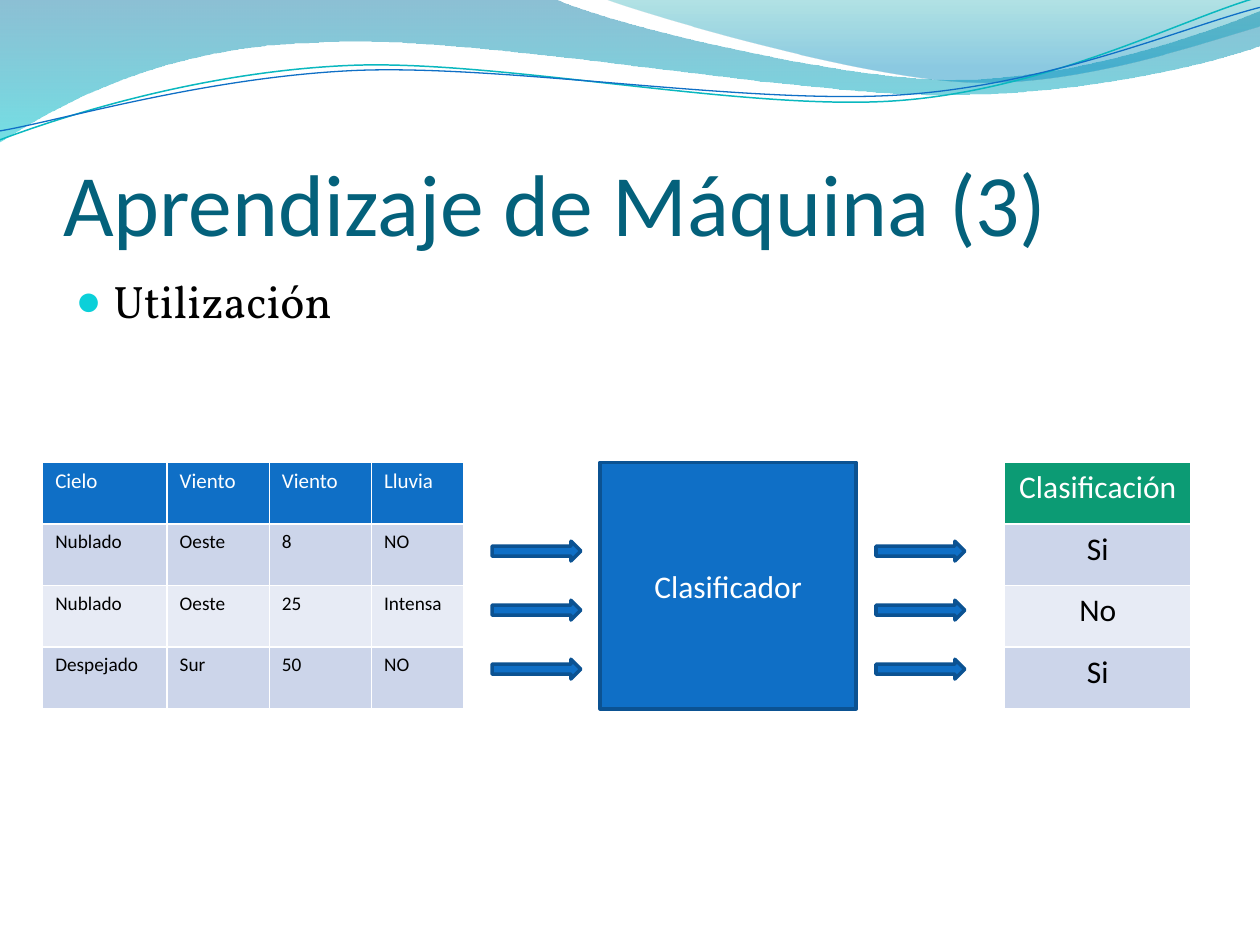
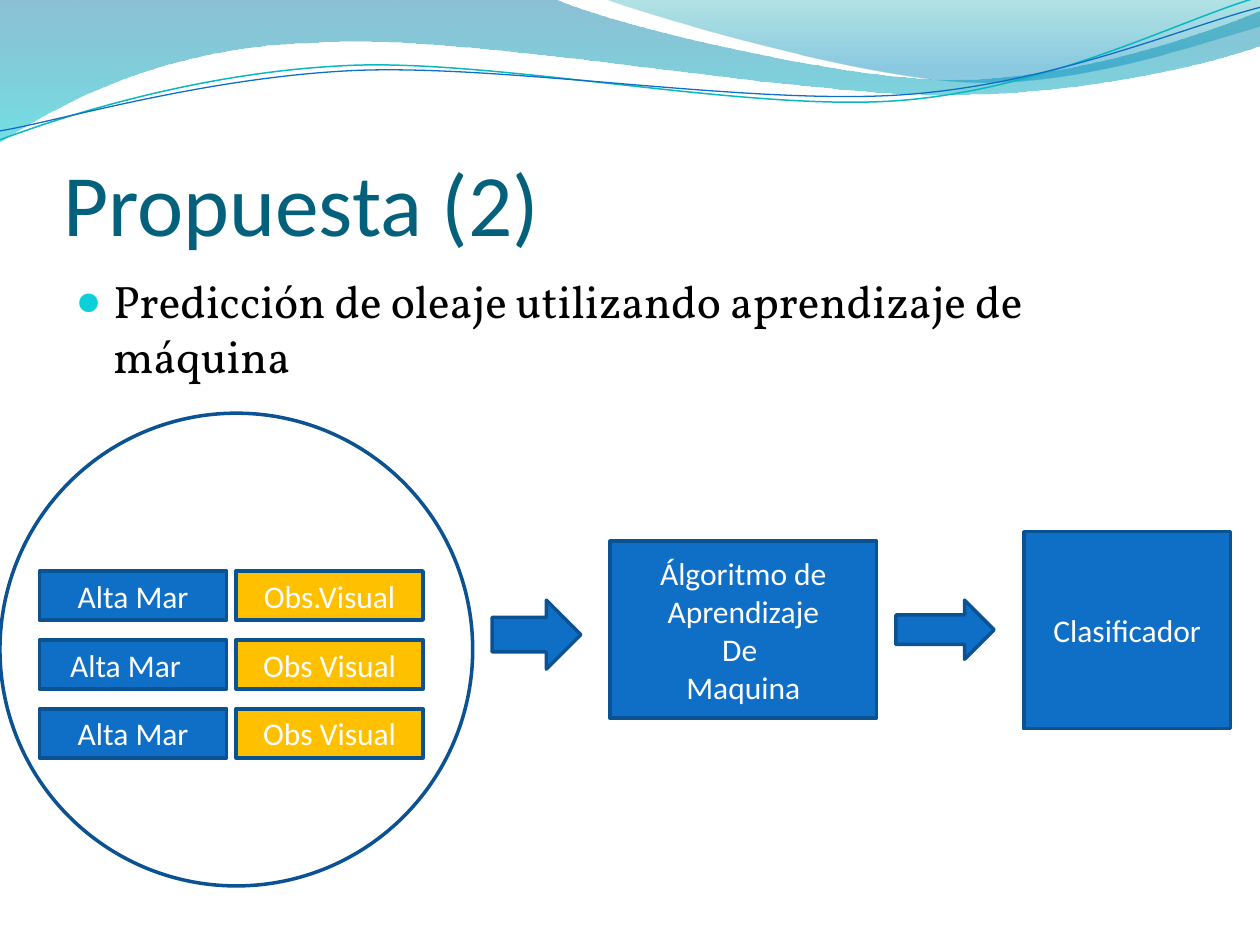
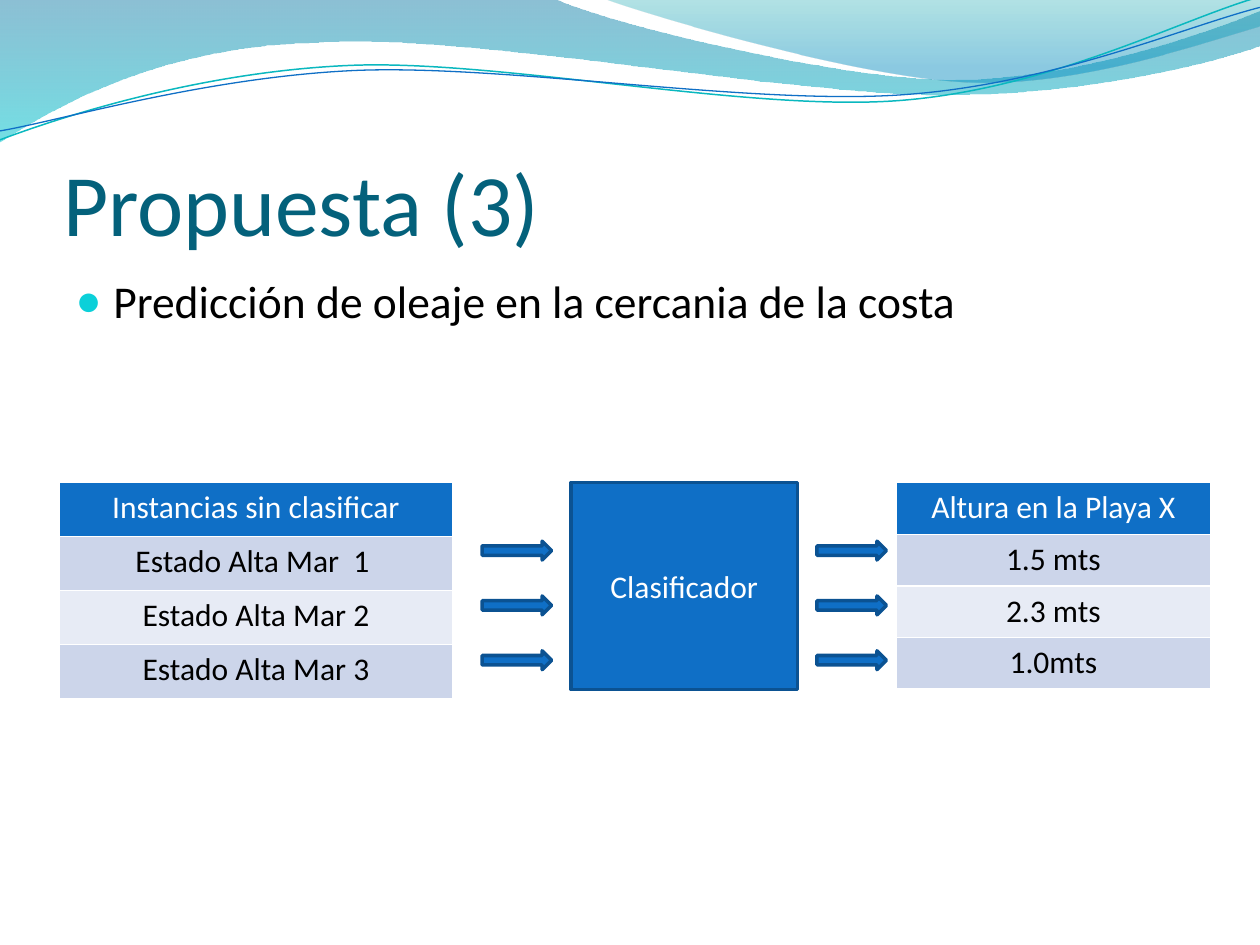
import dataclasses

import pptx
import pptx.dml.color
import pptx.enum.shapes
import pptx.enum.text
import pptx.oxml
import pptx.oxml.ns
import pptx.util

Cm = pptx.util.Cm
Pt = pptx.util.Pt
Align = pptx.enum.text.PP_ALIGN
Anchor = pptx.enum.text.MSO_ANCHOR
Preset = pptx.enum.shapes.MSO_SHAPE

SANS, SERIF = "Calibri", "Vollkorn"
BLUE, EDGE, GREEN, AMBER = "0F6FC6", "0B5292", "0C9B74", "FFC000"
WHITE, BLACK, TITLE, BULLET = "FFFFFF", "000000", "04617B", "0BD0D9"
BANDS = ("CCD5EA", "E7EBF5")

BACK_WAVE = [
    (0, 0), [(11.18, -0.02)],
    [(12.09, 0.43), (16.87, 1.6), (19.25, 1.6)],
    [(21.67, 1.6), (24.33, 0.66), (25.4, 0.23)], [(25.43, 0.91)],
    [(24.97, 1.12), (22.1, 1.93), (18.95, 1.91)],
    [(15.8, 1.91), (9.7, 0.71), (6.53, 0.86)],
    [(3.28, 0.91), (1.17, 2.11), (-0.03, 2.87)], [(0, 0)],
]
FRONT_WAVE = [
    (12.17, -0.02),
    [(12.93, 0.28), (17.32, 1.57), (19.53, 1.65)],
    [(21.74, 1.75), (24.41, 0.81), (25.4, 0.53)], [(25.4, 0)], [(12.17, -0.02)],
]
TEAL_LINE = [
    (0, 2.82),
    [(1.22, 2.36), (4.01, 1.45), (7.04, 1.32)],
    [(10.03, 1.19), (15.06, 2.26), (18.11, 2.03)],
    [(21.16, 1.8), (23.83, 0.38), (25.35, -0.05)],
]
BLUE_LINE = [
    (0, 2.64),
    [(1.19, 2.44), (4.17, 1.55), (7.19, 1.42)],
    [(10.24, 1.3), (15.16, 2.13), (18.21, 1.91)],
    [(21.23, 1.7), (23.9, 0.53), (25.4, 0.15)],
]


@dataclasses.dataclass
class Box:
    left: float
    top: float
    width: float
    height: float

    def lengths(self):
        return [Cm(value) for value in dataclasses.astuple(self)]

    def inner(self, left, top, width, height):
        return Box(self.left + left, self.top + top, width, height)


def color(value):
    return pptx.dml.color.RGBColor.from_string(value)


def paint(shape, fill=None, line=None, weight=2):
    shape.shadow.inherit = False
    if fill:
        shape.fill.solid()
        shape.fill.fore_color.rgb = color(fill)
    else:
        shape.fill.background()
    if line:
        shape.line.color.rgb = color(line)
        shape.line.width = Pt(weight)
    else:
        shape.line.fill.background()


def write(frame, text, size=18, font=SANS, ink=WHITE, align=Align.CENTER):
    for index, words in enumerate(text.split("\n")):
        para = frame.add_paragraph() if index else frame.paragraphs[0]
        para.alignment = align
        span = para.add_run()
        span.text = words
        span.font.name = font
        span.font.size = Pt(size)
        span.font.bold = False
        span.font.color.rgb = color(ink)


def add_figure(shapes, preset, box, text="", fill=BLUE):
    shape = shapes.add_shape(preset, *box.lengths())
    paint(shape, fill, EDGE)
    if text:
        shape.text_frame.word_wrap = True
        shape.text_frame.vertical_anchor = Anchor.MIDDLE
        write(shape.text_frame, text)
    return shape


def add_curve(page, curve, close):
    start, *segments = [
        tuple(map(Cm, part)) if isinstance(part, tuple)
        else [tuple(map(Cm, point)) for point in part]
        for part in curve]
    builder = page.shapes.build_freeform(*start)
    builder.add_line_segments([segment[-1] for segment in segments], close=close)
    shape = builder.convert_to_shape()
    nodes = list(shape.element.spPr.iter(pptx.oxml.ns.qn("a:lnTo")))
    for node, segment in zip(nodes, segments):
        if len(segment) == 3:
            bend = add_xml(node.getparent(), "cubicBezTo")
            for x, y in segment:
                add_xml(bend, "pt", x=x - shape.left, y=y - shape.top)
            node.getparent().replace(node, bend)
    return shape


def add_wave(page, curve, stops):
    wave = add_curve(page, curve, True)
    paint(wave)
    wave.fill.gradient()
    wave.fill.gradient_angle = 270
    for stop, (position, tint, _) in zip(wave.fill.gradient_stops, stops):
        stop.position = position
        stop.color.rgb = color(tint)
    tints = wave.element.spPr.iter(pptx.oxml.ns.qn("a:srgbClr"))
    for tint, (_, _, opacity) in zip(tints, stops):
        add_xml(tint, "alpha", val=opacity * 1000)
    return wave


def add_ripple(page, curve, tint, weight):
    ripple = add_curve(page, curve, False)
    paint(ripple, line=tint, weight=weight)
    return ripple


def add_xml(parent, tag, **attributes):
    child = pptx.oxml.parse_xml(f"<a:{tag} {pptx.oxml.ns.nsdecls('a')}/>")
    for name, value in attributes.items():
        child.set(name, str(value))
    parent.append(child)
    return child


def add_banner(page, layout):
    parts = [
        add_wave(page, BACK_WAVE, [(0, "0074A1", 45), (1, "00C6CF", 55)]),
        add_wave(page, FRONT_WAVE, [(0, "00A1A9", 30), (0.8, "008BBF", 45)]),
        add_ripple(page, TEAL_LINE, "0AB8BF", 0.85),
        add_ripple(page, BLUE_LINE, BLUE, 0.75),
    ]
    for index, part in enumerate(parts):
        layout.element.cSld.spTree.insert(2 + index, part.element)


def place(holder, box):
    holder.left, holder.top, holder.width, holder.height = box.lengths()
    frame = holder.text_frame
    frame.word_wrap = True
    frame.auto_size = pptx.enum.text.MSO_AUTO_SIZE.NONE
    return frame


def add_heading(page, title, topic, font):
    frame = place(page.shapes.title, Box(1.27, 1.95, 22.86, 3.17))
    frame.vertical_anchor = Anchor.BOTTOM
    frame.margin_left = frame.margin_right = frame.margin_bottom = 0
    frame.margin_top = Cm(0.13)
    write(frame, title, size=50, ink=TITLE, align=Align.LEFT)

    frame = place(page.placeholders[1], Box(1.27, 5.38, 22.86, 12.19))
    write(frame, topic, size=26, font=font, ink=BLACK, align=Align.LEFT)
    para = frame.paragraphs[0]
    para.space_before = Pt(5.2)
    format_node = para._p.get_or_add_pPr()
    format_node.set("marL", str(Cm(0.76)))
    format_node.set("indent", str(-Cm(0.76)))
    add_xml(add_xml(format_node, "buClr"), "srgbClr", val=BULLET)
    add_xml(format_node, "buSzPct", val=95000)
    add_xml(format_node, "buChar", char="●")


def add_grid(page, box, rows, widths=None, head=BLUE, sizes=(18, 18), align=Align.CENTER):
    widths = widths or [box.width]
    grid = page.shapes.add_table(len(rows), len(widths), *box.lengths()).table
    for column, width in zip(grid.columns, widths):
        column.width = Cm(width)
    for index, words in enumerate(rows):
        grid.rows[index].height = Cm(box.height / len(rows))
        fill = BANDS[(index - 1) % 2] if index else head
        for cell, text in zip(grid.rows[index].cells, words):
            cell.fill.solid()
            cell.fill.fore_color.rgb = color(fill)
            write(cell.text_frame, text, size=sizes[min(index, 1)],
                  ink=BLACK if index else WHITE, align=align)


def add_arrows(page, box, thickness, count=3):
    group = page.shapes.add_group_shape()
    pitch = (box.height - thickness) / (count - 1)
    for index in range(count):
        add_figure(group.shapes, Preset.RIGHT_ARROW,
                   box.inner(0, index * pitch, box.width, thickness))


def add_training_set(page, box):
    add_figure(page.shapes, Preset.OVAL, box, fill=None)
    columns = [
        (4.76, AMBER, ["Obs.Visual", "Obs Visual", "Obs Visual"]),
        (0.8, BLUE, ["Alta Mar", "Alta Mar\t", "Alta Mar"]),
    ]
    for left, fill, labels in columns:
        for index, label in enumerate(labels):
            add_figure(page.shapes, Preset.RECTANGLE,
                       box.inner(left, 3.18 + 1.39 * index, 3.77, 0.99), label, fill)


def fill_usage(page):
    add_heading(page, "Aprendizaje de Máquina (3)", "Utilización", SERIF)
    add_figure(page.shapes, Preset.RECTANGLE, Box(12.1, 9.32, 5.16, 4.97), "Clasificador")
    weather = [
        ["Cielo", "Viento", "Viento", "Lluvia"],
        ["Nublado", "Oeste", "8 ", "NO"],
        ["Nublado", "Oeste", "25", "Intensa"],
        ["Despejado", "Sur", "50", "NO"],
    ]
    add_grid(page, Box(0.86, 9.32, 8.48, 4.97), weather, [2.51, 2.06, 2.06, 1.85],
             sizes=(12, 11), align=Align.JUSTIFY)
    add_grid(page, Box(20.25, 9.32, 3.76, 4.97),
             [["Clasificación"], ["Si"], ["No"], ["Si"]], head=GREEN)
    for left in (9.92, 17.66):
        add_arrows(page, Box(left, 10.91, 1.79, 2.78), 0.4)


def fill_training(page):
    add_heading(page, "Propuesta (2)",
                "Predicción de oleaje utilizando aprendizaje de máquina", SERIF)
    add_figure(page.shapes, Preset.RECTANGLE, Box(12.3, 10.91, 5.37, 3.57),
               "Álgoritmo de Aprendizaje\nDe \nMaquina")
    add_figure(page.shapes, Preset.RIGHT_ARROW, Box(18.06, 12.1, 1.98, 1.19))
    add_training_set(page, Box(0, 8.33, 9.53, 9.53))
    add_figure(page.shapes, Preset.RECTANGLE, Box(20.64, 10.72, 4.17, 3.97), "Clasificador")
    add_figure(page.shapes, Preset.RIGHT_ARROW, Box(9.92, 12.1, 1.79, 1.39))


def fill_prediction(page):
    add_heading(page, "Propuesta (3)", "Predicción de oleaje en la cercania de la costa", SANS)
    add_grid(page, Box(1.19, 9.73, 7.94, 4.35),
             [["Instancias sin clasificar"], ["Estado Alta Mar  1 "],
              ["Estado Alta Mar 2"], ["Estado Alta Mar 3"]])
    add_figure(page.shapes, Preset.RECTANGLE, Box(11.51, 9.73, 4.57, 4.17), "Clasificador")
    add_grid(page, Box(18.06, 9.73, 6.35, 4.16),
             [["Altura en la Playa X"], ["1.5 mts"], ["2.3 mts"], ["1.0mts"]])
    for left in (9.72, 16.47):
        add_arrows(page, Box(left, 10.91, 1.4, 2.59), 0.38)


def main():
    deck = pptx.Presentation()
    deck.slide_width, deck.slide_height = Cm(25.4), Cm(19.05)
    layout = deck.slide_layouts[1]
    for index, fill_page in enumerate((fill_usage, fill_training, fill_prediction)):
        page = deck.slides.add_slide(layout)
        if index == 0:
            add_banner(page, layout)
        fill_page(page)
    deck.save("out.pptx")


if __name__ == "__main__":
    main()
